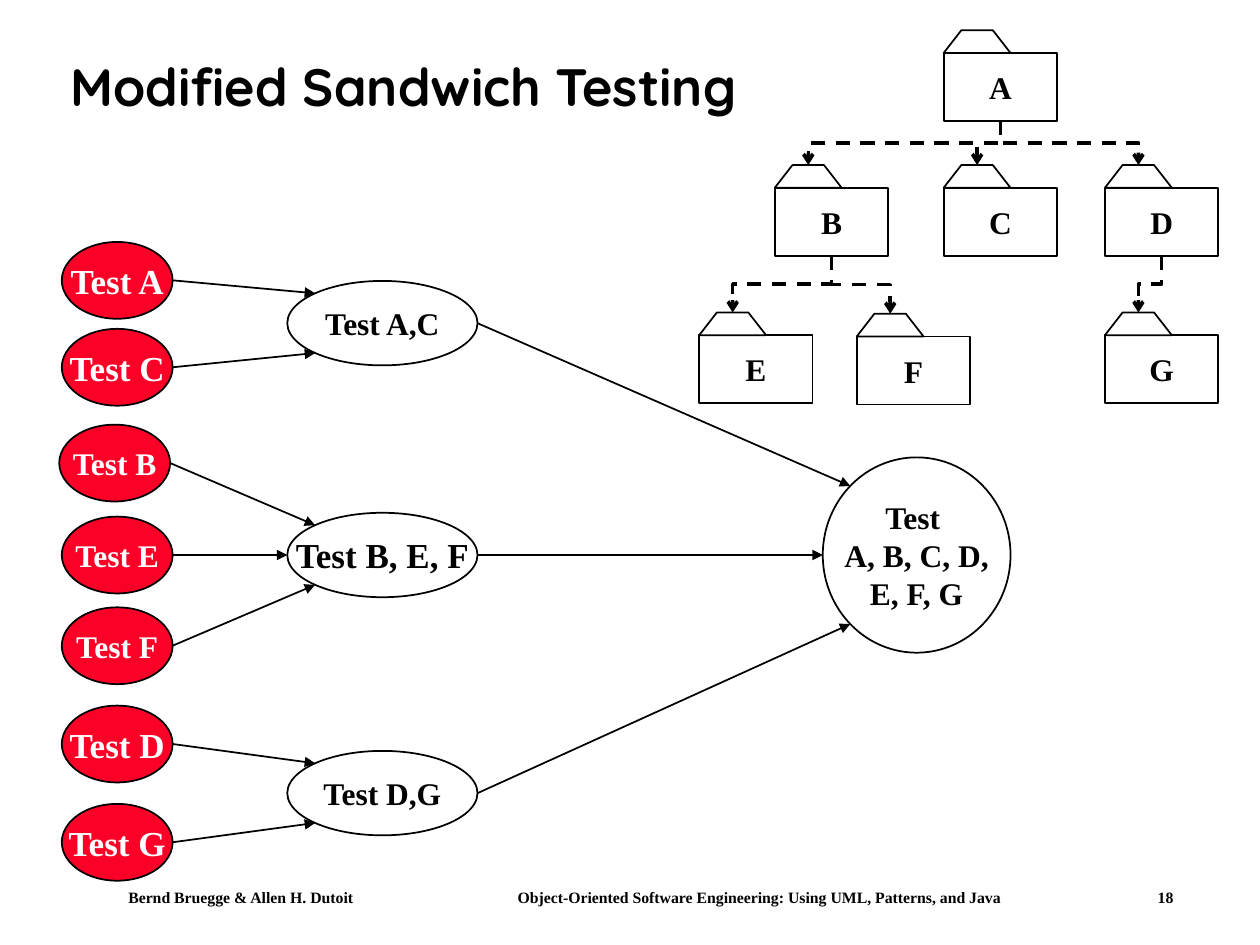
import math
from dataclasses import dataclass

import lxml.etree
import pptx
import pptx.dml.color
import pptx.enum.dml
import pptx.enum.shapes
import pptx.enum.text
import pptx.oxml.ns
import pptx.util

Inches = pptx.util.Inches
Pt = pptx.util.Pt
qn = pptx.oxml.ns.qn
SHAPE = pptx.enum.shapes.MSO_SHAPE
LINK = pptx.enum.shapes.MSO_CONNECTOR
ALIGN = pptx.enum.text.PP_ALIGN
MIDDLE = pptx.enum.text.MSO_ANCHOR.MIDDLE

BLACK, WHITE, RED = "000000", "FFFFFF", "FC0128"
SERIF = "Times New Roman"
FOLD_W, FOLD_H = 0.9, 0.54
TAB_W, TAB_H, SLOPE = 0.53, 0.18, 0.14


@dataclass
class Oval:
    text: str
    left: float
    top: float
    width: float
    height: float
    size: int = 18
    fill: str = ""


@dataclass
class Folder:
    name: str
    left: float
    top: float
    parent: str = ""


def leaf(name: str, top: float, size: int, left: float = 0.49) -> Oval:
    return Oval(f"Test {name}", left, top, 0.88, 0.61, size, RED)


def group(text: str, top: float, size: int = 18) -> Oval:
    return Oval(text, 2.28, top, 1.51, 0.67, size)


HUB = Oval("Test \nA, B, C, D,\nE, F, G", 6.53, 3.63, 1.49, 1.55)
GROUPS = [
    (group("Test A,C", 2.23), -1, [(leaf("A", 1.92, 20), -1), (leaf("C", 2.61, 20), 1)]),
    (group("Test B, E, F", 4.07, 20), 0,
     [(leaf("B", 3.37, 18, 0.47), -1), (leaf("E", 4.1, 18), 0), (leaf("F", 4.82, 18), 1)]),
    (group("Test D,G", 5.96), 1, [(leaf("D", 5.6, 20), -1), (leaf("G", 6.38, 20), 1)]),
]
FOLDERS = [
    Folder("A", 7.49, 0.42),
    Folder("B", 6.15, 1.49, "A"),
    Folder("C", 7.49, 1.49, "A"),
    Folder("D", 8.77, 1.49, "A"),
    Folder("E", 5.55, 2.66, "B"),
    Folder("F", 6.8, 2.67, "B"),
    Folder("G", 8.77, 2.66, "D"),
]


def tint(code: str) -> pptx.dml.color.RGBColor:
    return pptx.dml.color.RGBColor.from_string(code)


def set_font(para, name: str, size: int, color: str) -> None:
    font = para.font
    font.name, font.size, font.bold = name, Pt(size), True
    font.color.rgb = tint(color)


def style(shape, fill: str) -> None:
    shape.shadow.inherit = False
    if fill:
        shape.fill.solid()
        shape.fill.fore_color.rgb = tint(fill)
    else:
        shape.fill.background()
    shape.line.color.rgb = tint(BLACK)
    shape.line.width = Pt(1)


def add_node(slide, kind, item: Oval) -> None:
    box = (item.left, item.top, item.width, item.height)
    shape = slide.shapes.add_shape(kind, *map(Inches, box))
    style(shape, item.fill)
    frame = shape.text_frame
    frame.word_wrap = False
    frame.vertical_anchor = MIDDLE
    frame.text = item.text
    for para in frame.paragraphs:
        para.alignment = ALIGN.CENTER
        set_font(para, SERIF, item.size, WHITE if item.fill == RED else BLACK)


def add_line(slide, kind, ends: tuple, width: int, head: str):
    line = slide.shapes.add_connector(kind, *map(Inches, ends))
    line.line.color.rgb = tint(BLACK)
    line.line.width = Pt(width)
    if kind == LINK.ELBOW:
        line.line.dash_style = pptx.enum.dml.MSO_LINE.DASH
    props = line._element.spPr
    lxml.etree.SubElement(props.find(qn("a:ln")), qn("a:tailEnd"), type=head)
    lxml.etree.SubElement(props, qn("a:effectLst"))
    return line


def join(slide, start: Oval, end: Oval, side: int) -> None:
    angle = side * math.pi / 4
    x = end.left + end.width / 2 * (1 - math.cos(angle))
    y = end.top + end.height / 2 * (1 + math.sin(angle))
    ends = (start.left + start.width, start.top + start.height / 2, x, y)
    add_line(slide, LINK.STRAIGHT, ends, 1, "triangle")


def add_elbow(slide, start: Folder, end: Folder) -> None:
    x1, y1 = start.left + FOLD_W / 2, start.top + FOLD_H
    x2, y2 = end.left + TAB_W / 2, end.top - TAB_H
    mid_x, mid_y = (x1 + x2) / 2, (y1 + y2) / 2
    right = x2 > x1
    half_w = (y2 - y1) / 2 * (-1 if right else 1)
    half_h = abs(x2 - x1) / 2
    ends = (mid_x - half_w, mid_y - half_h, mid_x + half_w, mid_y + half_h)
    line = add_line(slide, LINK.ELBOW, ends, 2, "arrow")
    turn = 270 if right else 90
    line._element.spPr.find(qn("a:xfrm")).set("rot", str(turn * 60000))


def add_folder(slide, item: Folder) -> None:
    add_node(slide, SHAPE.RECTANGLE,
             Oval(item.name, item.left, item.top, FOLD_W, FOLD_H, fill=WHITE))
    x, y = item.left, item.top
    path = slide.shapes.build_freeform(Inches(x), Inches(y))
    points = [(x + SLOPE, y - TAB_H), (x + TAB_W - SLOPE, y - TAB_H), (x + TAB_W, y)]
    path.add_line_segments([(Inches(a), Inches(b)) for a, b in points], close=True)
    style(path.convert_to_shape(), WHITE)


def add_text(slide, box: tuple, text: str):
    frame = slide.shapes.add_textbox(*map(Inches, box)).text_frame
    frame.word_wrap = True
    frame.text = text
    return frame


def add_title(slide) -> None:
    frame = add_text(slide, (0.46, 0.24, 8.92, 0.94), "Modified Sandwich Testing")
    frame.vertical_anchor = MIDDLE
    para = frame.paragraphs[0]
    para.line_spacing = 0.9
    set_font(para, "Quicksand", 30, BLACK)


def add_foot(slide) -> None:
    parts = ["", "Bernd Bruegge & Allen H. Dutoit",
             "Object-Oriented Software Engineering: Using UML, Patterns, and Java", "18"]
    para = add_text(slide, (0.58, 7, 9.17, 0.25), "\t".join(parts)).paragraphs[0]
    stops = lxml.etree.SubElement(para._p.get_or_add_pPr(), qn("a:tabLst"))
    for pos in (0.34, 3.43, 8.51):
        lxml.etree.SubElement(stops, qn("a:tab"), pos=str(Inches(pos)), algn="l")
    set_font(para, SERIF, 9, BLACK)


def main() -> None:
    deck = pptx.Presentation()
    deck.slide_width, deck.slide_height = Inches(10), Inches(7.5)
    slide = deck.slides.add_slide(deck.slide_layouts[6])
    add_foot(slide)
    add_title(slide)
    add_node(slide, SHAPE.OVAL, HUB)
    for node, side, leaves in GROUPS:
        add_node(slide, SHAPE.OVAL, node)
        join(slide, node, HUB, side)
        for item, edge in leaves:
            add_node(slide, SHAPE.OVAL, item)
            join(slide, item, node, edge)
    names = {item.name: item for item in FOLDERS}
    for item in FOLDERS:
        if item.parent:
            add_elbow(slide, names[item.parent], item)
    for item in FOLDERS:
        add_folder(slide, item)
    deck.save("out.pptx")


if __name__ == "__main__":
    main()
